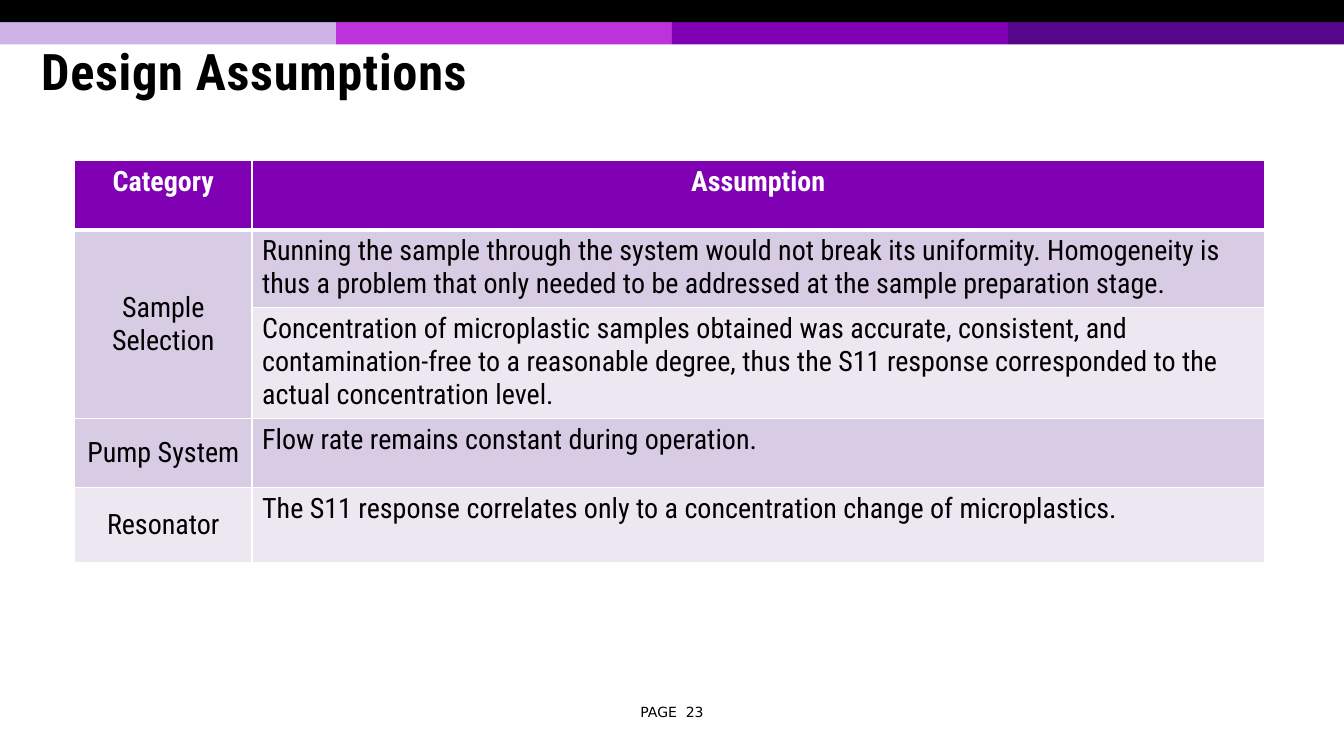
from lxml import etree
from pptx import Presentation
from pptx.dml.color import RGBColor
from pptx.enum.shapes import MSO_SHAPE
from pptx.enum.text import MSO_ANCHOR, PP_ALIGN
from pptx.oxml.ns import qn
from pptx.util import Inches, Pt

RECT = MSO_SHAPE.RECTANGLE
TOP, MIDDLE = MSO_ANCHOR.TOP, MSO_ANCHOR.MIDDLE
LEFT, CENTER = PP_ALIGN.LEFT, PP_ALIGN.CENTER

BLACK = RGBColor(0x00, 0x00, 0x00)
WHITE = RGBColor(0xFF, 0xFF, 0xFF)
PURPLE = RGBColor(0x80, 0x00, 0xB3)
BAND_DARK = RGBColor(0xD8, 0xCC, 0xE5)
BAND_LIGHT = RGBColor(0xED, 0xE7, 0xF2)
STRIPES = [RGBColor(0xCF, 0xB3, 0xE6), RGBColor(0xBD, 0x33, 0xDA),
           PURPLE, RGBColor(0x57, 0x05, 0x8A)]

HEAD_FONT = "Roboto Condensed"
PAGE_FONT = "DejaVu Sans"
WIDTH, HEIGHT = 13.33, 7.5

ROWS = [
    ("Category", "Assumption"),
    ("Sample Selection",
     "Running the sample through the system would not break its uniformity. "
     "Homogeneity is thus a problem that only needed to be addressed at the "
     "sample preparation stage."),
    ("",
     "Concentration of microplastic samples obtained was accurate, consistent, "
     "and contamination-free to a reasonable degree, thus the S11 response "
     "corresponded to the actual concentration level."),
    ("Pump System", "Flow rate remains constant during operation."),
    ("Resonator",
     "The S11 response correlates only to a concentration change of microplastics."),
]
COL_WIDTHS = [1.76, 10.04]
ROW_HEIGHTS = [0.69, 0.75, 1.08, 0.69, 0.74]


def write(tf, text, size, font=HEAD_FONT, color=BLACK, bold=False,
          align=LEFT, line_spacing=None, tracking=None):
    p = tf.paragraphs[0]
    p.alignment = align
    if line_spacing:
        p.line_spacing = line_spacing
    r = p.add_run()
    r.text = text
    r.font.size, r.font.name, r.font.bold = Pt(size), font, bold
    r.font.color.rgb = color
    if tracking:
        r.font._element.set("spc", str(int(tracking * 100)))


def add_text(slide, box, text, size, **fmt):
    tf = slide.shapes.add_textbox(*map(Inches, box)).text_frame
    tf.word_wrap = True
    tf.vertical_anchor = MIDDLE
    write(tf, text, size, **fmt)


def add_bar(slide, box, color):
    sp = slide.shapes.add_shape(RECT, *map(Inches, box))
    sp.shadow.inherit = False
    sp.fill.solid()
    sp.fill.fore_color.rgb = color
    sp.line.fill.background()


def add_banner(slide, box):
    """Black bar above a row of equal coloured stripes."""
    x, y, w, h = box
    stripe_w = w / len(STRIPES)
    for i, color in enumerate(STRIPES):
        add_bar(slide, (x + i * stripe_w, y + h / 2, stripe_w, h / 2), color)
    add_bar(slide, (x, y, w, h / 2), BLACK)


def set_borders(cell, widths):
    """Draw white borders; widths maps side letter to points."""
    tc_pr = cell._tc.get_or_add_tcPr()
    for i, (side, width) in enumerate(widths.items()):
        ln = etree.Element(qn("a:ln" + side), w=str(Pt(width)))
        fill = etree.SubElement(ln, qn("a:solidFill"))
        etree.SubElement(fill, qn("a:srgbClr"), val=str(WHITE))
        tc_pr.insert(i, ln)


def add_assumptions(slide, box):
    frame = slide.shapes.add_table(len(ROWS), len(COL_WIDTHS), *map(Inches, box))
    table = frame.table
    for col, width in zip(table.columns, COL_WIDTHS):
        col.width = Inches(width)
    for i, (row, height) in enumerate(zip(table.rows, ROW_HEIGHTS)):
        row.height = Inches(height)
        header = i == 0
        fill = PURPLE if header else BAND_DARK if i % 2 else BAND_LIGHT
        for j, text in enumerate(ROWS[i]):
            cell = table.cell(i, j)
            cell.fill.solid()
            cell.fill.fore_color.rgb = fill
            set_borders(cell, {"L": 1, "R": 1, "T": 3 if i == 1 else 1,
                               "B": 3 if header else 1})
            label = j == 0 and not header
            cell.vertical_anchor = MIDDLE if label else TOP
            if text:
                write(cell.text_frame, text, 20, bold=header,
                      color=WHITE if header else BLACK,
                      align=CENTER if header or label else LEFT)
    # "Sample Selection" covers two assumptions
    table.cell(1, 0).merge(table.cell(2, 0))


def main():
    prs = Presentation()
    prs.slide_width, prs.slide_height = Inches(WIDTH), Inches(HEIGHT)
    slide = prs.slides.add_slide(prs.slide_layouts[6])

    # Banner and title
    add_banner(slide, (0, 0, WIDTH, 0.44))
    add_text(slide, (0.31, 0.26, 12.65, 0.98), "Design Assumptions", 36,
             bold=True, line_spacing=0.85, tracking=0.5)

    # Table
    add_assumptions(slide, (0.74, 1.59, sum(COL_WIDTHS), sum(ROW_HEIGHTS)))

    # Page number
    add_text(slide, ((WIDTH - 1.11) / 2, 6.93, 1.11, 0.27), "PAGE  23", 10,
             font=PAGE_FONT, align=CENTER)

    prs.save("out.pptx")


if __name__ == "__main__":
    main()
